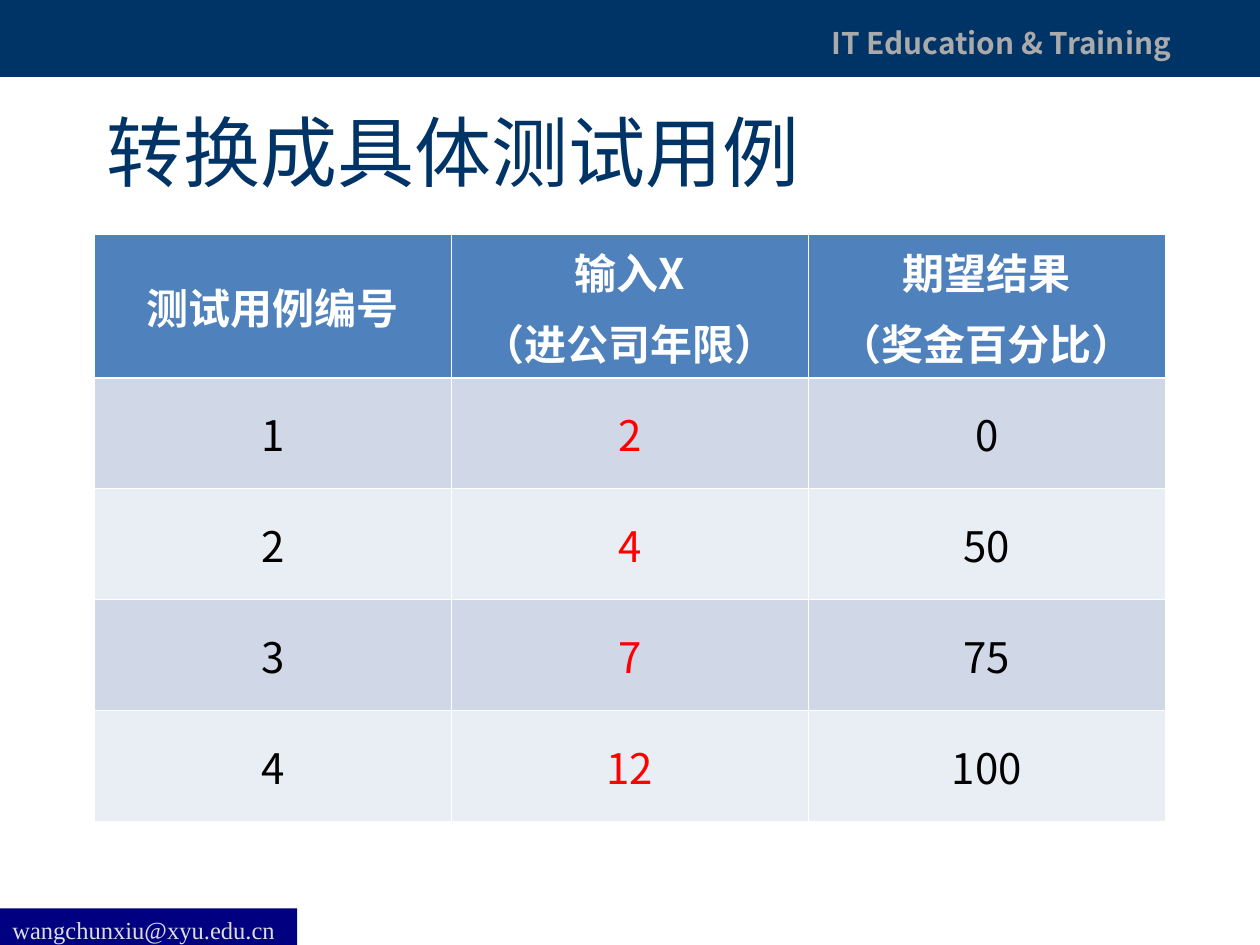
from lxml import etree
from pptx import Presentation
from pptx.dml.color import RGBColor
from pptx.enum.shapes import MSO_SHAPE
from pptx.enum.text import MSO_ANCHOR, PP_ALIGN
from pptx.oxml.ns import qn
from pptx.util import Inches, Pt

RECT = MSO_SHAPE.RECTANGLE
TOP, MIDDLE = MSO_ANCHOR.TOP, MSO_ANCHOR.MIDDLE
LEFT, CENTER = PP_ALIGN.LEFT, PP_ALIGN.CENTER

SANS, SANS_TC = "Noto Sans CJK SC", "Noto Sans CJK TC"
LATIN, SERIF = "Calibri", "Times New Roman"
NAVY, WHITE, BLACK, RED = "003366", "FFFFFF", "000000", "FF0000"
HEADER_FILL, BANDS = "4F81BD", ("D0D8E8", "E9EDF4")
THIN, THICK = 0.45, 1.47
HEADER_HEIGHT, CASE_HEIGHT = 1.14, 0.88

HEADERS = [
    (["测试用例编号"], LATIN),
    (["输入X", "（进公司年限）"], SANS),
    (["期望结果", "（奖金百分比）"], LATIN),
]
CASES = [(1, 2, 0), (2, 4, 50), (3, 7, 75), (4, 12, 100)]


def color(value):
    return RGBColor.from_string(value)


def write(tf, lines, size, ink, font, bold=False, align=LEFT, before=0):
    """Fill a text frame with equally formatted paragraphs."""
    tf.text = "\n".join(lines)
    for p in tf.paragraphs:
        p.alignment = align
        p.space_before = Pt(before)
        p.font.size, p.font.bold, p.font.name = Pt(size), bold, font
        p.font.color.rgb = color(ink)
        for r in p.runs:
            r.font.name = font
            ea = etree.SubElement(r.font._element, qn("a:ea"))
            ea.set("typeface", SANS if font == LATIN else font)


def add_bar(slide, box, fill):
    sp = slide.shapes.add_shape(RECT, *map(Inches, box))
    sp.shadow.inherit = False
    sp.fill.solid()
    sp.fill.fore_color.rgb = color(fill)
    sp.line.fill.background()
    return sp


def add_text(slide, box, text, size, ink, font, bold=False, anchor=TOP):
    tf = slide.shapes.add_textbox(*map(Inches, box)).text_frame
    tf.word_wrap = True
    tf.vertical_anchor = anchor
    write(tf, [text], size, ink, font, bold)


def set_borders(cell, top, bottom):
    """Draw white cell borders; they must precede the fill in the XML."""
    tc_pr = cell._tc.get_or_add_tcPr()
    sides = (("L", THIN), ("R", THIN), ("T", top), ("B", bottom))
    for i, (side, width) in enumerate(sides):
        ln = etree.Element(qn(f"a:ln{side}"), w=str(Pt(width)))
        fill = etree.SubElement(ln, qn("a:solidFill"))
        etree.SubElement(fill, qn("a:srgbClr"), val=WHITE)
        tc_pr.insert(i, ln)


def style_cell(cell, lines, fill, ink, font, bold=False, top=THIN, bottom=THIN):
    cell.vertical_anchor = MIDDLE
    cell.fill.solid()
    cell.fill.fore_color.rgb = color(fill)
    set_borders(cell, top, bottom)
    write(cell.text_frame, lines, 24, ink, font, bold, CENTER, before=6)


def add_case_table(slide, left, top, width):
    height = HEADER_HEIGHT + CASE_HEIGHT * len(CASES)
    table = slide.shapes.add_table(
        len(CASES) + 1, len(HEADERS),
        *map(Inches, (left, top, width, height))).table
    for row in table.rows:
        row.height = Inches(CASE_HEIGHT)
    table.rows[0].height = Inches(HEADER_HEIGHT)

    for col, (lines, font) in enumerate(HEADERS):
        style_cell(table.cell(0, col), lines, HEADER_FILL, WHITE, font,
                   bold=True, bottom=THICK)
    for row, case in enumerate(CASES, start=1):
        for col, value in enumerate(case):
            style_cell(table.cell(row, col), [str(value)],
                       BANDS[(row - 1) % 2], RED if col == 1 else BLACK, SANS,
                       top=THICK if row == 1 else THIN)


def main():
    prs = Presentation()
    prs.slide_width, prs.slide_height = Inches(10), Inches(7.5)
    slide = prs.slides.add_slide(prs.slide_layouts[6])

    # Top banner
    add_bar(slide, (0, 0, 10, 0.61), NAVY)
    add_text(slide, (6.5, 0.15, 3.43, 0.38), "IT Education & Training",
             17, "AAAAAA", SANS_TC, bold=True)

    # Contact tag
    tag = add_bar(slide, (0, 7.21, 2.36, 0.29), "000080")
    tag.text_frame.vertical_anchor = TOP
    write(tag.text_frame, ["wangchunxiu@xyu.edu.cn"], 14, "DDDDDD", SERIF)

    # Title and test cases
    add_text(slide, (0.75, 0.68, 8.5, 1.04), "转换成具体测试用例",
             44, NAVY, SANS, anchor=MIDDLE)
    add_case_table(slide, 0.75, 1.86, 8.5)

    prs.save("out.pptx")


if __name__ == "__main__":
    main()
